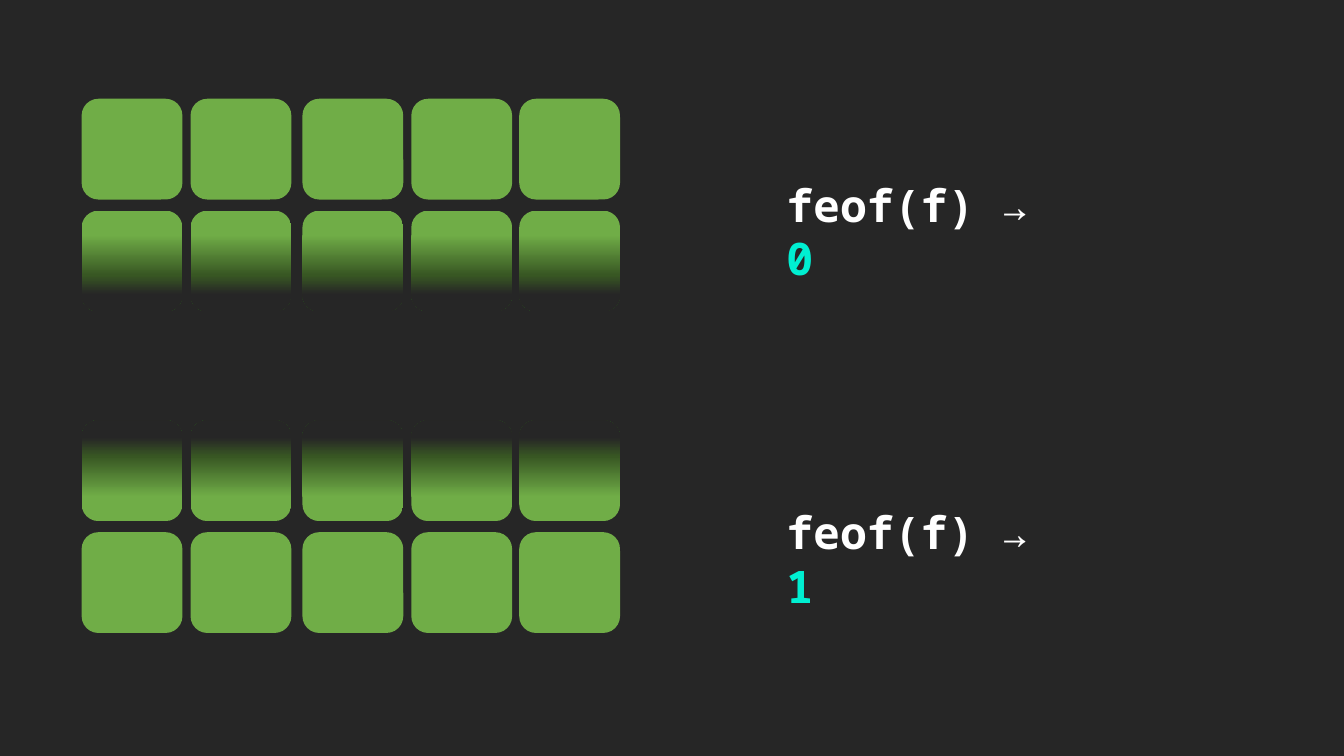
from lxml.etree import SubElement
from pptx import Presentation
from pptx.dml.color import RGBColor
from pptx.enum.shapes import MSO_SHAPE
from pptx.oxml.ns import qn
from pptx.util import Inches, Pt

BACKGROUND = RGBColor(0x26, 0x26, 0x26)
GREEN = RGBColor(0x70, 0xAD, 0x47)
DARK_GREEN = RGBColor(0x38, 0x57, 0x23)
WHITE = RGBColor(0xFF, 0xFF, 0xFF)
TURQUOISE = RGBColor(0x00, 0xEF, 0xD1)

BLOCK = 1
COLUMNS = (0.81, 1.89, 3, 4.08, 5.15)
CALL_LEFT, CALL_WIDTH, CALL_HEIGHT = 7.7, 3.11, 0.64
CALL_FORMAT = {"name": "Noto Sans Mono", "size": Pt(32), "bold": True}
FADE = ((0, GREEN), (24, GREEN), (64, DARK_GREEN), (83, BACKGROUND), (100, BACKGROUND))


def add_block(group, left, top):
    sp = group.shapes.add_shape(MSO_SHAPE.ROUNDED_RECTANGLE,
                                *map(Inches, (left, top, BLOCK, BLOCK)))
    sp.shadow.inherit = False
    sp.fill.solid()
    sp.fill.fore_color.rgb = GREEN
    sp.line.fill.background()
    return sp


def fade_out(sp, upwards):
    """Fade a block into the background, mirrored when it fades upwards."""
    sp.fill.gradient()
    sp.fill.gradient_angle = 270
    spPr = sp._element.spPr
    stops = spPr.find(qn("a:gradFill")).find(qn("a:gsLst"))
    for stop in list(stops):
        stops.remove(stop)
    for percent, color in FADE:
        stop = SubElement(stops, qn("a:gs"), pos=str(percent * 1000))
        SubElement(stop, qn("a:srgbClr"), val=str(color))
    if upwards:
        spPr.find(qn("a:xfrm")).set("flipV", "1")


def add_call(group, top, result):
    box = group.shapes.add_textbox(*map(Inches, (CALL_LEFT, top, CALL_WIDTH, CALL_HEIGHT)))
    tf = box.text_frame
    tf.word_wrap = True
    p = tf.paragraphs[0]
    for text, color in (("feof(f) → ", WHITE), (result, TURQUOISE)):
        r = p.add_run()
        r.text = text
        for name, value in CALL_FORMAT.items():
            setattr(r.font, name, value)
        r.font.color.rgb = color


def add_file_end(slide, solid_top, fading_top, call_top, result):
    """Group two rows of blocks with the call that tests for the end of the file."""
    group = slide.shapes.add_group_shape()
    for left in COLUMNS:
        add_block(group, left, solid_top)
        fade_out(add_block(group, left, fading_top), fading_top < solid_top)
    add_call(group, call_top, result)


def main():
    prs = Presentation()
    prs.slide_width, prs.slide_height = Inches(13.33), Inches(7.5)
    slide = prs.slides.add_slide(prs.slide_layouts[6])
    slide.background.fill.solid()
    slide.background.fill.fore_color.rgb = BACKGROUND
    add_file_end(slide, 5.28, 4.17, 4.96, "1")
    add_file_end(slide, 0.98, 2.09, 1.71, "0")
    prs.save("out.pptx")


if __name__ == "__main__":
    main()
